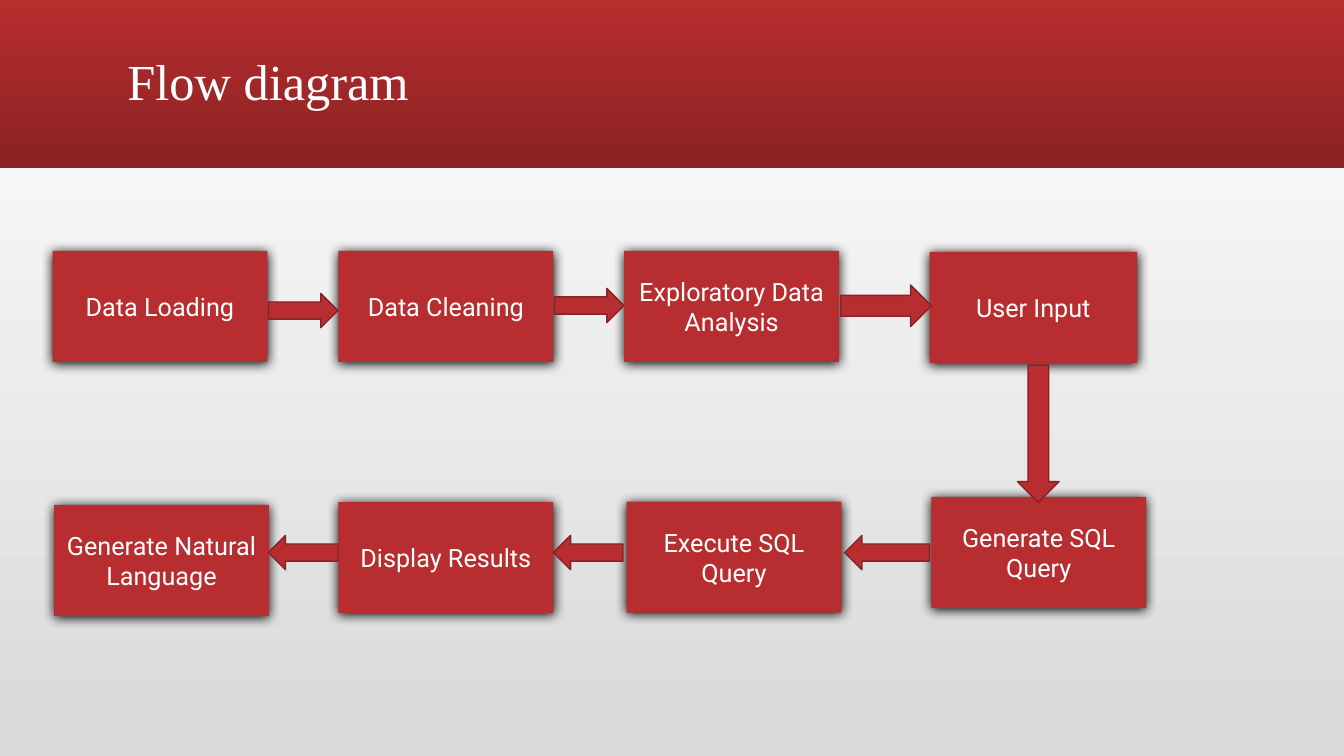
from dataclasses import dataclass

from lxml.etree import SubElement
from pptx import Presentation
from pptx.dml.color import RGBColor
from pptx.dml.fill import FillFormat
from pptx.enum.shapes import MSO_SHAPE as Preset
from pptx.enum.text import MSO_ANCHOR as Anchor, PP_ALIGN as Align
from pptx.oxml.ns import qn
from pptx.shapes.autoshape import Shape
from pptx.slide import Slide
from pptx.util import Pt

COLORS = {
    "red": "B82D2F",
    "band_end": "8A2223",
    "arrow_edge": "882123",
    "text": "FFFFFF",
    "backdrop_low": "D9D9D9",
    "backdrop_high": "FFFFFF",
    "shadow": "000000",
}
SLIDE_WIDTH, SLIDE_HEIGHT = 960, 540
BAND_HEIGHT = 120
STEP_HEIGHT = 79.2


@dataclass(frozen=True)
class Step:
    label: str
    left: float
    top: float
    width: float = 153.4


@dataclass(frozen=True)
class FlowArrow:
    left: float
    top: float
    width: float = 49.7
    height: float = 24.5
    rotation: float = 0


STEPS = [
    Step("Data Loading", 37.6, 179.3),
    Step("Data Cleaning", 241.8, 179.3),
    Step("Exploratory Data Analysis", 445.9, 179.3),
    Step("User Input", 664, 180, width=148.3),
    Step("Generate SQL Query", 665.3, 355),
    Step("Execute SQL Query", 447.6, 358.4),
    Step("Display Results", 241.8, 358.6),
    Step("Generate Natural Language", 38.7, 360.7),
]

RETURN_TOP = 382.4
FLOW_ARROWS = [
    FlowArrow(191.7, 209.6),
    FlowArrow(396, 206),
    FlowArrow(600.5, 203.6, width=64.8, height=29.7),
    FlowArrow(692.7, 295, width=98, height=29.7, rotation=90),
    FlowArrow(603.4, RETURN_TOP, width=60.6, rotation=180),
    FlowArrow(395.3, RETURN_TOP, rotation=180),
    FlowArrow(191.7, RETURN_TOP, rotation=180),
]


def rgb(name: str) -> RGBColor:
    return RGBColor.from_string(COLORS[name])


def set_gradient(fill: FillFormat, start: str, end: str, angle: float) -> None:
    """Blend two colours; the angle runs counter-clockwise."""
    fill.gradient()
    fill.gradient_angle = angle
    for stop, color, position in zip(fill.gradient_stops, (start, end), (0, 1)):
        stop.color.rgb = rgb(color)
        stop.position = position


def write_text(shape: Shape, text: str, *, font: str, size: float,
               align: Align = Align.LEFT, line_spacing: float = 1.0) -> None:
    frame = shape.text_frame
    frame.word_wrap = True
    frame.vertical_anchor = Anchor.MIDDLE
    paragraph = frame.paragraphs[0]
    paragraph.alignment = align
    paragraph.line_spacing = line_spacing
    run = paragraph.add_run()
    run.text = text
    run.font.name = font
    run.font.size = Pt(size)
    run.font.color.rgb = rgb("text")


def add_preset(slide: Slide, preset: Preset, left: float, top: float,
               width: float, height: float) -> Shape:
    """Add a red preset shape without outline or shadow."""
    shape = slide.shapes.add_shape(preset, Pt(left), Pt(top), Pt(width), Pt(height))
    shape.shadow.inherit = False
    shape.fill.solid()
    shape.fill.fore_color.rgb = rgb("red")
    shape.line.fill.background()
    return shape


def add_drop_shadow(shape: Shape) -> None:
    effects = shape.element.spPr.find(qn("a:effectLst"))
    shadow = SubElement(effects, qn("a:outerShdw"), blurRad=str(Pt(8.5)),
                        dist=str(Pt(1)), dir="5400000", algn="ctr", rotWithShape="0")
    SubElement(shadow, qn("a:srgbClr"), val=COLORS["shadow"])


def add_header(slide: Slide) -> None:
    band = add_preset(slide, Preset.RECTANGLE, 0, 0, SLIDE_WIDTH, BAND_HEIGHT)
    set_gradient(band.fill, "red", "band_end", 270)
    title = slide.shapes.add_textbox(Pt(84), Pt(8), Pt(792), Pt(104.4))
    write_text(title, "Flow diagram", font="Times New Roman", size=36, line_spacing=0.9)


def add_step(slide: Slide, step: Step) -> None:
    box = add_preset(slide, Preset.RECTANGLE, step.left, step.top, step.width, STEP_HEIGHT)
    add_drop_shadow(box)
    write_text(box, step.label, font="Roboto", size=18, align=Align.CENTER)


def add_flow_arrow(slide: Slide, flow: FlowArrow) -> None:
    arrow = add_preset(slide, Preset.RIGHT_ARROW, flow.left, flow.top, flow.width, flow.height)
    arrow.rotation = flow.rotation
    arrow.line.color.rgb = rgb("arrow_edge")
    arrow.line.width = Pt(1)


def main() -> None:
    deck = Presentation()
    deck.slide_width, deck.slide_height = Pt(SLIDE_WIDTH), Pt(SLIDE_HEIGHT)
    slide = deck.slides.add_slide(deck.slide_layouts[6])
    set_gradient(slide.background.fill, "backdrop_low", "backdrop_high", 90)
    add_header(slide)
    for step in STEPS:
        add_step(slide, step)
    for flow in FLOW_ARROWS:
        add_flow_arrow(slide, flow)
    deck.save("out.pptx")


if __name__ == "__main__":
    main()
